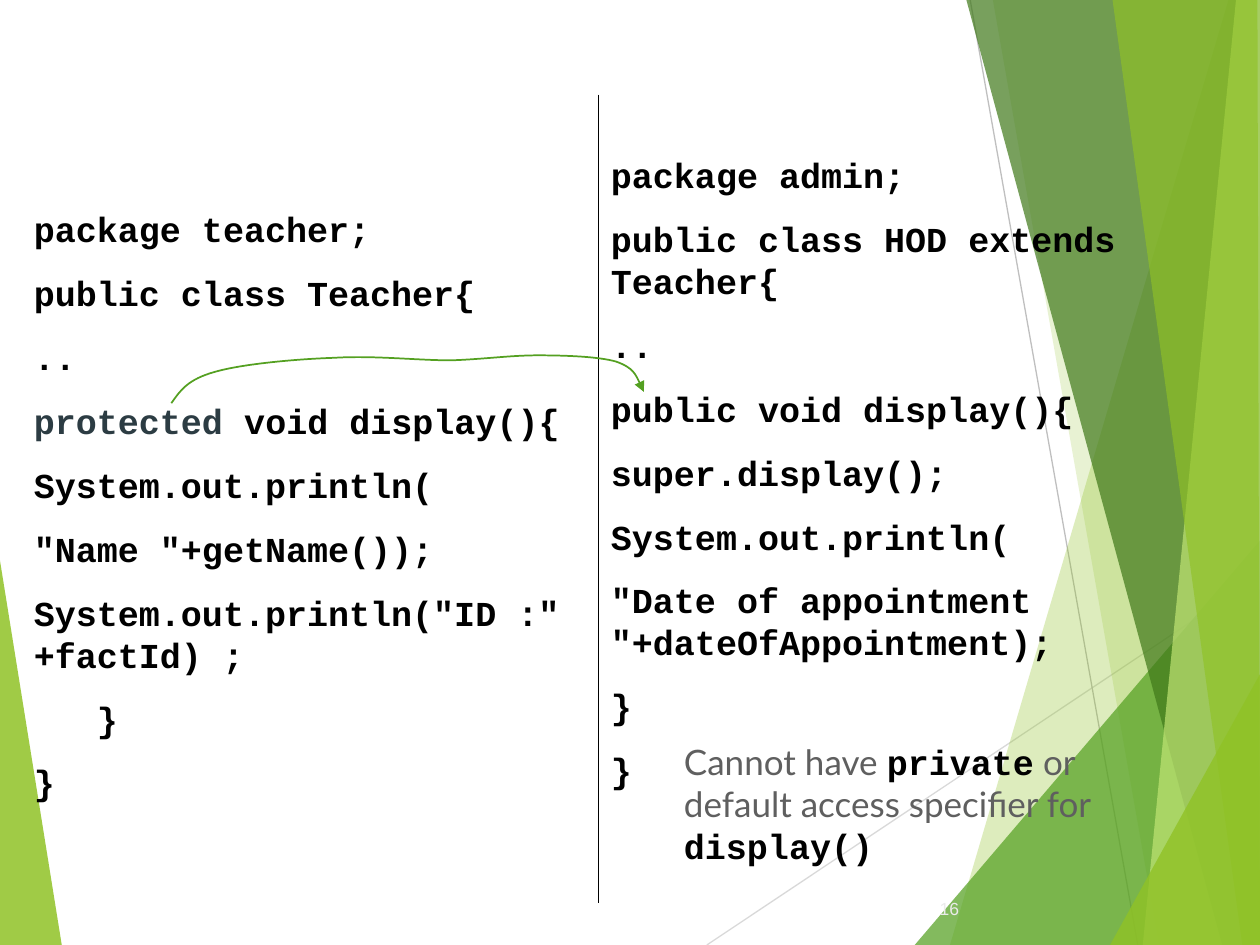
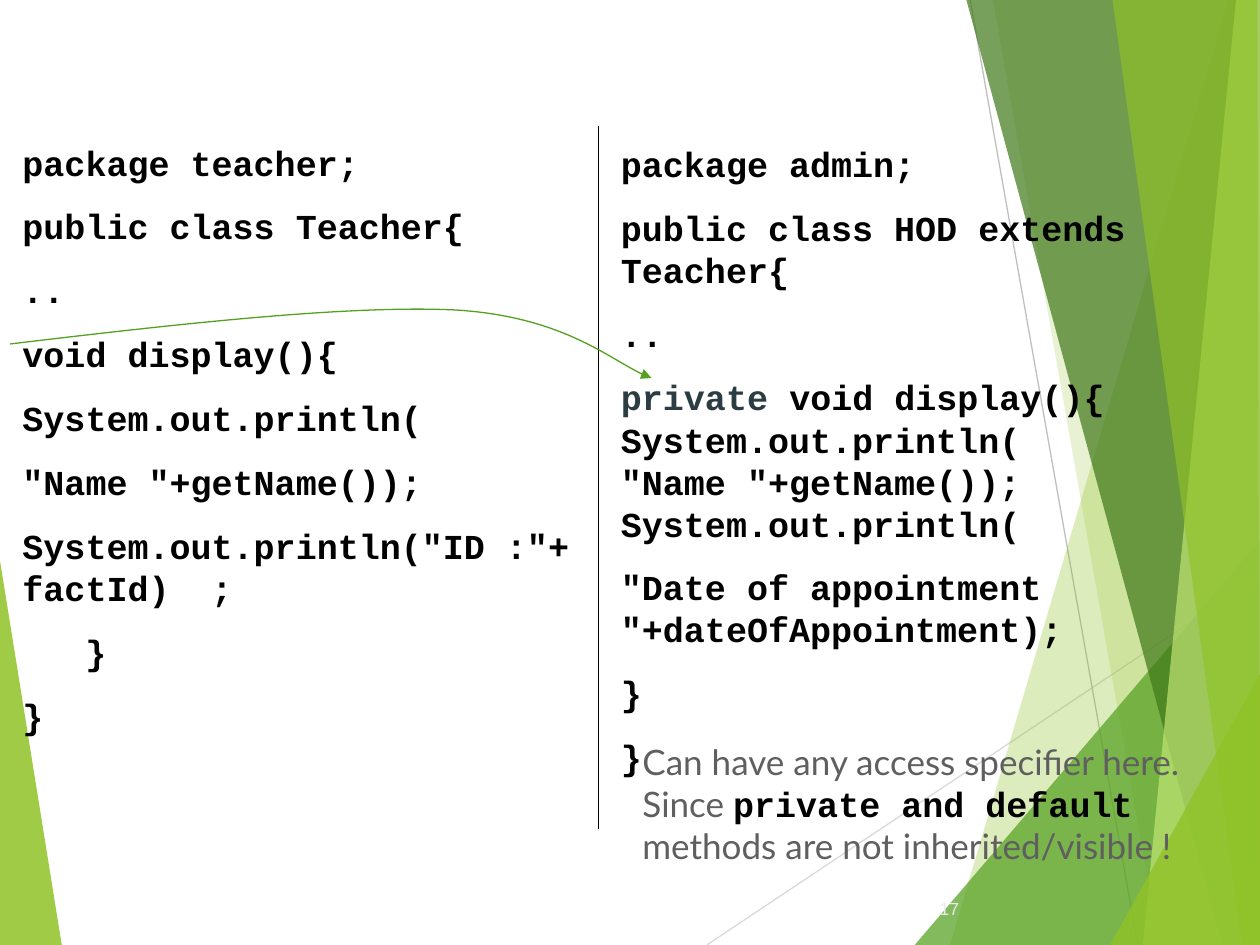
"""Two slides on access specifiers of overridden methods in Java."""
from dataclasses import dataclass
from typing import NamedTuple

from lxml.etree import SubElement
from pptx import Presentation
from pptx.dml.color import RGBColor
from pptx.enum.shapes import MSO_CONNECTOR as Connector
from pptx.enum.text import MSO_ANCHOR as Anchor, MSO_AUTO_SIZE as AutoSize
from pptx.oxml.ns import qn
from pptx.presentation import Presentation as Deck
from pptx.shapes.autoshape import Shape
from pptx.slide import Slide
from pptx.util import Inches, Pt

Point = tuple[float, float]


class TextStyle(NamedTuple):
    """Look of one run of text."""
    font: str
    size: float
    color: str
    bold: bool = False


@dataclass(frozen=True)
class Theme:
    """Colours, type styles and spacing shared by the slides."""
    lime: str = "90C226"
    green: str = "54A021"
    forest: str = "3F7819"
    pale: str = "C0E474"
    light_ray: str = "D9D9D9"
    dark_ray: str = "BFBFBF"
    divider: str = "000000"
    hairline: float = 0.75
    gap: float = 12.5
    tab: float = 0.5
    tab_count: int = 7
    code: TextStyle = TextStyle("Courier New", 20, "000000", True)
    keyword: TextStyle = TextStyle("Courier New", 20, "2C3C43", True)
    prose: TextStyle = TextStyle("Lato", 20, "5F5F5F")
    number: TextStyle = TextStyle("Arial", 10, "EBEBEB")


THEME = Theme()


class Span(NamedTuple):
    """A piece of a line in one style."""
    text: str
    style: TextStyle


class Line(NamedTuple):
    """A paragraph and the space above it."""
    spans: tuple[Span, ...]
    gap: float = THEME.gap


class Box(NamedTuple):
    """Place of a text box in inches."""
    left: float
    top: float
    width: float
    height: float


class Block(NamedTuple):
    """Lines of text in a box."""
    box: Box
    lines: tuple[Line, ...]


class Band(NamedTuple):
    """A translucent polygon of the backdrop."""
    color: str
    opacity: int
    corners: tuple[Point, ...]


class Ray(NamedTuple):
    """A straight line."""
    color: str
    start: Point
    end: Point


class CurvedArrow(NamedTuple):
    """A start point followed by three Bezier points for each curve."""
    weight: float
    points: tuple[Point, ...]


class OverrideSlide(NamedTuple):
    """One comparison of a method with its override."""
    number: int
    teacher: Block
    hod: Block
    divider: Ray
    arrow: CurvedArrow
    note: Block


BACKDROP: tuple[Band | Ray, ...] = (
    Band(THEME.lime, 85, ((0, 4.45), (0.49, 7.5), (0, 7.5))),
    Ray(THEME.light_ray, (5.61, 7.5), (10, 4.57)),
    Ray(THEME.dark_ray, (7.7, 0), (9.03, 7.5)),
    Band(THEME.lime, 30, ((9.75, 0), (7.54, 7.5), (10, 7.5), (10, 0))),
    Band(THEME.lime, 20, ((7.88, 0), (9.2, 7.5), (10, 7.5), (10, 0))),
    Band(THEME.green, 72, ((7.26, 7.5), (10, 4.29), (10, 7.5))),
    Band(THEME.forest, 70, ((7.67, 0), (9.7, 7.5), (10, 7.5), (10, 0))),
    Band(THEME.pale, 70, ((9.81, 0), (9.07, 7.5), (10, 7.5), (10, 0))),
    Band(THEME.lime, 65, ((8.83, 0), (9.86, 7.5), (10, 7.5), (9.98, 0))),
    Band(THEME.lime, 80, ((8.81, 7.5), (10, 5.35), (10, 7.5))),
)
NUMBER_BOX = Box(7.36, 7.01, 2.1, 0.4)


def code(text: str, keyword: str = "", gap: float = THEME.gap) -> Line:
    """Return a line of code, with an optional highlighted keyword first."""
    lead = (Span(keyword, THEME.keyword),) if keyword else ()
    return Line((*lead, Span(text, THEME.code)), gap)


def teacher_class(method: Line) -> tuple[Line, ...]:
    """Return the parent class around its method header."""
    head = ("package teacher;", "public class Teacher{", "..")
    body = ("System.out.println(", '"Name "+getName());',
            'System.out.println("ID :"+factId)\t;', "\t}", "}")
    return (*map(code, head), method, *map(code, body))


def hod_class(*method: Line) -> tuple[Line, ...]:
    """Return the child class around its overriding method."""
    head = ("package admin;", "public class HOD extends Teacher{", "..")
    tail = ('"Date of appointment "+dateOfAppointment);', "}", "}")
    return (*map(code, head), *method, *map(code, tail))


def divider(top: float, bottom: float) -> Ray:
    """Return the line between the two classes."""
    return Ray(THEME.divider, (4.75, top), (4.75, bottom))


SLIDES = (
    OverrideSlide(
        number=16,
        teacher=Block(Box(0.17, 1.6, 4.42, 4.83),
                      teacher_class(code(" void display(){", "protected"))),
        hod=Block(Box(4.75, 1.17, 5.25, 5.16),
                  hod_class(code("public void display(){"),
                            code("super.display();"),
                            code("System.out.println("))),
        divider=divider(0.75, 7.17),
        arrow=CurvedArrow(1, (
            (1.36, 3.2),
            (1.43, 3.1), (1.49, 3.01), (1.71, 2.95),
            (1.92, 2.89), (2.34, 2.85), (2.65, 2.84),
            (2.97, 2.82), (3.31, 2.86), (3.58, 2.86),
            (3.85, 2.85), (4.05, 2.82), (4.27, 2.82),
            (4.49, 2.82), (4.75, 2.83), (4.89, 2.87),
            (5.03, 2.92), (5.07, 3.02), (5.11, 3.11))),
        note=Block(Box(5.33, 5.83, 4, 1.1), (Line((
            Span("Cannot have ", THEME.prose),
            Span("private", THEME.code),
            Span(" or default access specifier for ", THEME.prose),
            Span("display()", THEME.code))),)),
    ),
    OverrideSlide(
        number=17,
        teacher=Block(Box(0.08, 1.07, 4.58, 4.83),
                      teacher_class(code("void display(){"))),
        hod=Block(Box(4.83, 1.08, 5.17, 5.15),
                  hod_class(code(" void display(){", "private"),
                            code("System.out.println(", gap=0),
                            code('"Name "+getName()); System.out.println(',
                                 gap=0))),
        divider=divider(1, 6.58),
        arrow=CurvedArrow(THEME.hairline, (
            (0.08, 2.73),
            (1.42, 2.57), (2.76, 2.42), (3.61, 2.46),
            (4.46, 2.51), (4.91, 2.91), (5.17, 3))),
        note=Block(Box(5, 5.83, 4.75, 1.44), (Line((
            Span("Can have any access specifier here. Since ", THEME.prose),
            Span("private and default", THEME.code),
            Span(" methods are not inherited/visible !", THEME.prose)),
            gap=0),)),
    ),
)


def draw_outline(slide: Slide, points: tuple[Point, ...], close: bool) -> Shape:
    """Draw straight segments through points given in inches."""
    start, *rest = [(Inches(x), Inches(y)) for x, y in points]
    builder = slide.shapes.build_freeform(*start)
    builder.add_line_segments(rest, close=close)
    outline = builder.convert_to_shape()
    outline.shadow.inherit = False
    return outline


def draw_band(slide: Slide, band: Band) -> None:
    """Draw a translucent polygon."""
    polygon = draw_outline(slide, band.corners, close=True)
    polygon.fill.solid()
    polygon.fill.fore_color.rgb = RGBColor.from_string(band.color)
    polygon.line.fill.background()
    color = polygon.element.spPr.find(qn("a:solidFill"))[0]
    SubElement(color, qn("a:alpha"), val=str(band.opacity * 1000))


def draw_ray(slide: Slide, ray: Ray) -> None:
    """Draw a thin straight line."""
    ends = (Inches(length) for length in (*ray.start, *ray.end))
    connector = slide.shapes.add_connector(Connector.STRAIGHT, *ends)
    connector.line.width = Pt(THEME.hairline)
    connector.line.color.rgb = RGBColor.from_string(ray.color)
    SubElement(connector.element.spPr, qn("a:effectLst"))


def draw_arrow(slide: Slide, arrow: CurvedArrow) -> None:
    """Draw a curve that ends in an arrowhead."""
    curve = draw_outline(slide, arrow.points, close=False)
    curve.fill.background()
    curve.line.width = Pt(arrow.weight)
    curve.line.color.rgb = RGBColor.from_string(THEME.green)
    properties = curve.element.spPr
    SubElement(properties.find(qn("a:ln")), qn("a:tailEnd"), type="triangle")
    route = next(properties.iter(qn("a:path")))
    steps = route.findall(qn("a:lnTo"))
    for first in range(0, len(steps), 3):
        bezier = SubElement(route, qn("a:cubicBezTo"))
        for step in steps[first:first + 3]:
            bezier.append(step[0])
            route.remove(step)


def draw_block(slide: Slide, block: Block) -> Shape:
    """Draw a wrapping text box with its lines."""
    holder = slide.shapes.add_textbox(*(Inches(side) for side in block.box))
    frame = holder.text_frame
    frame.word_wrap = True
    frame.auto_size = AutoSize.SHAPE_TO_FIT_TEXT
    for index, line in enumerate(block.lines):
        paragraph = frame.add_paragraph() if index else frame.paragraphs[0]
        paragraph.space_before = Pt(line.gap)
        tabs = SubElement(paragraph._p.get_or_add_pPr(), qn("a:tabLst"))
        for stop in range(1, THEME.tab_count + 1):
            SubElement(tabs, qn("a:tab"), pos=str(Inches(stop * THEME.tab)), algn="l")
        for span in line.spans:
            run = paragraph.add_run()
            run.text = span.text
            run.font.name = span.style.font
            run.font.size = Pt(span.style.size)
            run.font.bold = span.style.bold
            run.font.color.rgb = RGBColor.from_string(span.style.color)
    return holder


def draw_number(slide: Slide, number: int) -> None:
    """Draw the slide number."""
    line = Line((Span(str(number), THEME.number),), gap=0)
    frame = draw_block(slide, Block(NUMBER_BOX, (line,))).text_frame
    frame.auto_size = AutoSize.NONE
    frame.vertical_anchor = Anchor.MIDDLE


def share_backdrop(slide: Slide) -> None:
    """Draw the backdrop and move it to the layout that the slides share."""
    layout = slide.slide_layout
    for placeholder in list(layout.placeholders):
        layout.shapes.element.remove(placeholder.element)
    for part in BACKDROP:
        if isinstance(part, Band):
            draw_band(slide, part)
        else:
            draw_ray(slide, part)
    for shape in list(slide.shapes):
        layout.shapes.element.insert_element_before(shape.element, "p:extLst")


def add_override_slide(deck: Deck, content: OverrideSlide) -> None:
    """Add one comparison slide."""
    slide = deck.slides.add_slide(deck.slide_layouts[6])
    if len(deck.slides) == 1:
        share_backdrop(slide)
    draw_block(slide, content.teacher)
    draw_block(slide, content.hod)
    draw_ray(slide, content.divider)
    draw_block(slide, content.note)
    draw_arrow(slide, content.arrow)
    draw_number(slide, content.number)


def main() -> None:
    """Build and save the slides."""
    deck = Presentation()
    deck.slide_width, deck.slide_height = Inches(10), Inches(7.5)
    for content in SLIDES:
        add_override_slide(deck, content)
    deck.save("out.pptx")


if __name__ == "__main__":
    main()
